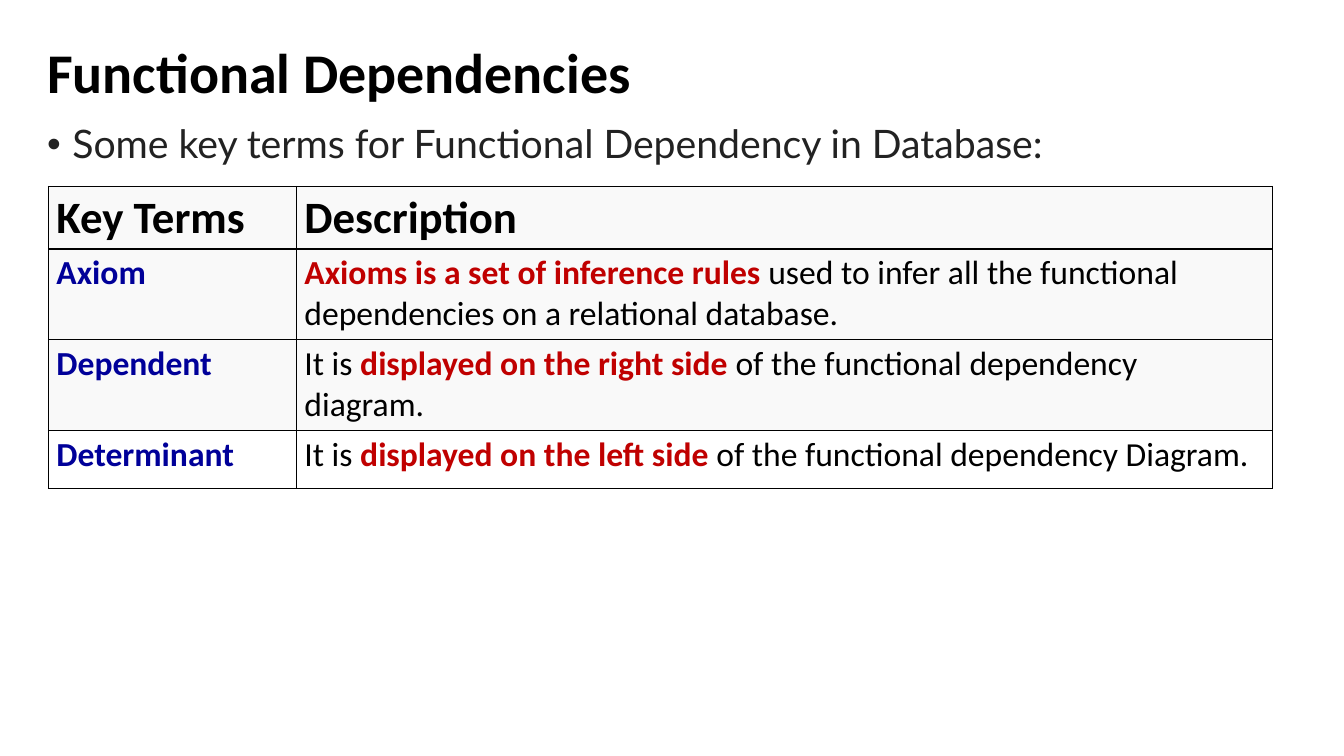
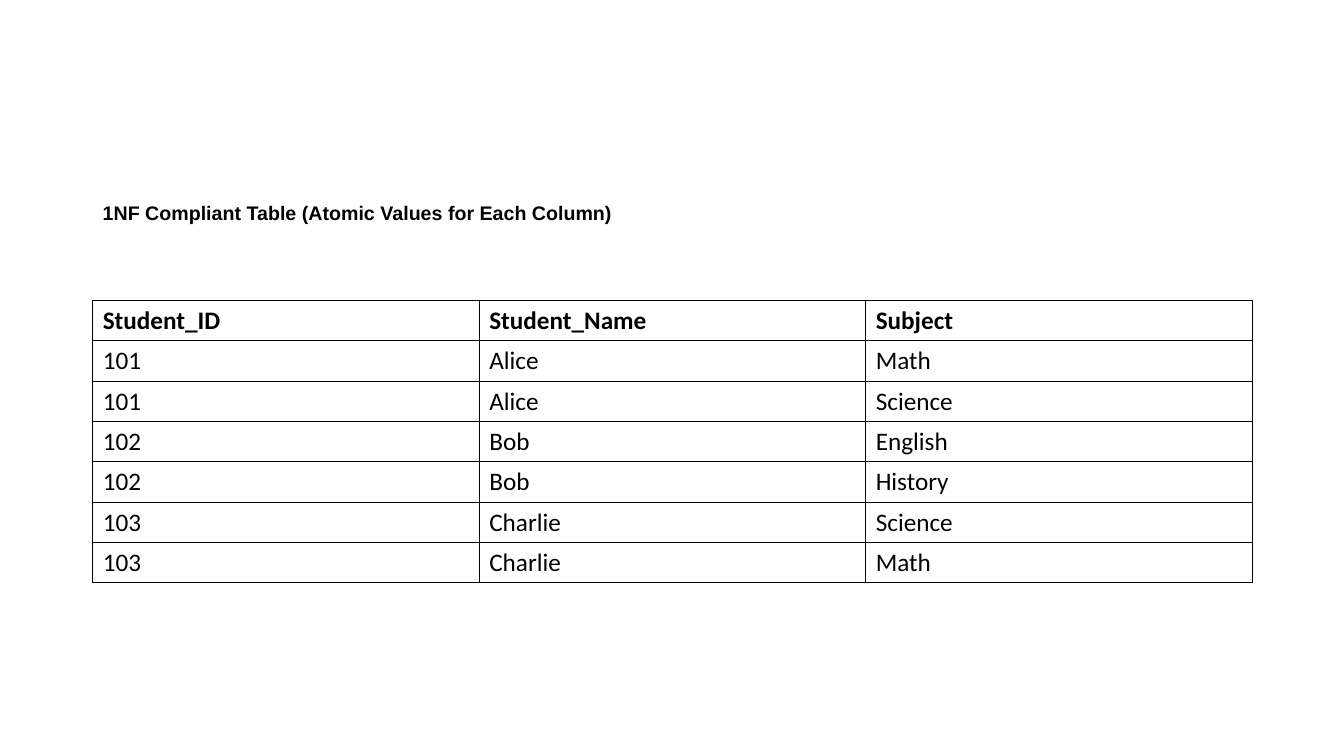
from lxml import etree
from pptx import Presentation
from pptx.dml.color import RGBColor
from pptx.enum.text import MSO_ANCHOR, PP_ALIGN
from pptx.oxml.ns import qn
from pptx.util import Inches, Pt

TOP, MIDDLE = MSO_ANCHOR.TOP, MSO_ANCHOR.MIDDLE
JUSTIFY = PP_ALIGN.JUSTIFY

BLACK = RGBColor(0x00, 0x00, 0x00)
WHITE = RGBColor(0xFF, 0xFF, 0xFF)
CHARCOAL = RGBColor(0x22, 0x22, 0x22)
PALE_GREY = RGBColor(0xF9, 0xF9, 0xF9)
NAVY = RGBColor(0x00, 0x00, 0x99)
RED = RGBColor(0xC0, 0x00, 0x00)


class Deck:
    TABLE_FONT = "Calibri"
    BORDER = Pt(1)

    def __init__(self):
        self.prs = Presentation()
        self.prs.slide_width = Inches(13.33)
        self.prs.slide_height = Inches(7.5)
        self.slide = None

    def new_slide(self):
        self.slide = self.prs.slides.add_slide(self.prs.slide_layouts[6])

    @staticmethod
    def style(font, name, size, color, bold):
        font.name = name
        font.size = Pt(size)
        font.color.rgb = color
        font.bold = bold

    def text(self, words, left, top, width, height, font, size,
             color=BLACK, bold=False, anchor=MIDDLE):
        """Add a one-paragraph text box and return its paragraph."""
        frame = self.slide.shapes.add_textbox(
            Inches(left), Inches(top), Inches(width), Inches(height)).text_frame
        frame.word_wrap = True
        frame.vertical_anchor = anchor
        frame.text = words
        paragraph = frame.paragraphs[0]
        self.style(paragraph.runs[0].font, font, size, color, bold)
        return paragraph

    def title(self, words):
        self.text(words, 0.37, 0.3, 11.5, 0.89, "Calibri", 40,
                  bold=True).line_spacing = 0.9

    def bullet(self, words):
        paragraph = self.text(words, 0.37, 1.19, 12.6, 0.6, "Lato", 28,
                              CHARCOAL, anchor=TOP)
        paragraph.alignment = JUSTIFY
        paragraph.line_spacing = 0.9
        properties = paragraph._p.get_or_add_pPr()
        properties.set("marL", str(Inches(0.25)))
        properties.set("indent", str(-Inches(0.25)))
        etree.SubElement(properties, qn("a:buFont"), typeface="Arial")
        etree.SubElement(properties, qn("a:buChar"), char="•")

    def table(self, left, top, columns, rows):
        """Add an unbanded table and return it."""
        table = self.slide.shapes.add_table(
            len(rows), len(columns), Inches(left), Inches(top),
            Inches(sum(columns)), Inches(sum(rows))).table
        table.first_row = table.horz_banding = False
        for column, width in zip(table.columns, columns):
            column.width = Inches(width)
        for row, height in zip(table.rows, rows):
            row.height = Inches(height)
        return table

    def cell(self, cell, segments, size, fill=None, anchor=TOP, inset=(0.1, 0.05)):
        """Fill a cell with (text, colour, bold) segments."""
        self.borders(cell)
        if fill is None:
            cell.fill.background()
        else:
            cell.fill.solid()
            cell.fill.fore_color.rgb = fill
        cell.vertical_anchor = anchor
        cell.margin_left = cell.margin_right = Inches(inset[0])
        cell.margin_top = cell.margin_bottom = Inches(inset[1])
        paragraph = cell.text_frame.paragraphs[0]
        for words, color, bold in segments:
            run = paragraph.add_run()
            run.text = words
            self.style(run.font, self.TABLE_FONT, size, color, bold)

    def borders(self, cell):
        properties = cell._tc.get_or_add_tcPr()
        for side in ("lnL", "lnR", "lnT", "lnB"):
            line = etree.SubElement(properties, qn(f"a:{side}"), w=str(self.BORDER))
            solid = etree.SubElement(line, qn("a:solidFill"))
            etree.SubElement(solid, qn("a:srgbClr"), val=str(BLACK))


def plain(words):
    return (words, BLACK, False)


def header(words):
    return (words, BLACK, True)


def term(words):
    return (words, NAVY, True)


def key(words):
    return (words, RED, True)


def key_terms_slide(deck):
    deck.new_slide()
    deck.title("Functional Dependencies")
    deck.bullet("Some key terms for Functional Dependency in Database:")
    # Each row: height, text size, fill, term segments, description segments
    rows = [
        (0.62, 32, PALE_GREY, [header("Key Terms")], [header("Description")]),
        (0.9, 24, PALE_GREY, [term("Axiom")],
         [key("Axioms is a set of inference rules "),
          plain("used to infer all the functional dependencies on a relational database.")]),
        (0.9, 24, PALE_GREY, [term("Dependent")],
         [plain("It is "), key("displayed on the right side "),
          plain("of the functional dependency diagram.")]),
        (0.58, 24, WHITE, [term("Determinant")],
         [plain("It is "), key("displayed on the left side "),
          plain("of the functional dependency Diagram.")]),
    ]
    table = deck.table(0.48, 1.85, [2.46, 9.68], [row[0] for row in rows])
    for r, (_, size, fill, *contents) in enumerate(rows):
        for c, segments in enumerate(contents):
            deck.cell(table.cell(r, c), segments, size, fill, inset=(0.08, 0.04))


def first_normal_form_slide(deck):
    deck.new_slide()
    records = [
        ("Student_ID", "Student_Name", "Subject"),
        ("101", "Alice", "Math"),
        ("101", "Alice", "Science"),
        ("102", "Bob", "English"),
        ("102", "Bob", "History"),
        ("103", "Charlie", "Science"),
        ("103", "Charlie", "Math"),
    ]
    table = deck.table(0.92, 2.98, [11.5 / 3] * 3, [0.4] * len(records))
    for r, record in enumerate(records):
        segment = plain if r else header
        for c, value in enumerate(record):
            deck.cell(table.cell(r, c), [segment(value)], 18, anchor=MIDDLE)
    deck.text("1NF Compliant Table (Atomic Values for Each Column)",
              0.92, 1.91, 11.5, 0.4, "Arial", 14, bold=True)


def main():
    deck = Deck()
    key_terms_slide(deck)
    first_normal_form_slide(deck)
    deck.prs.save("out.pptx")


if __name__ == "__main__":
    main()
